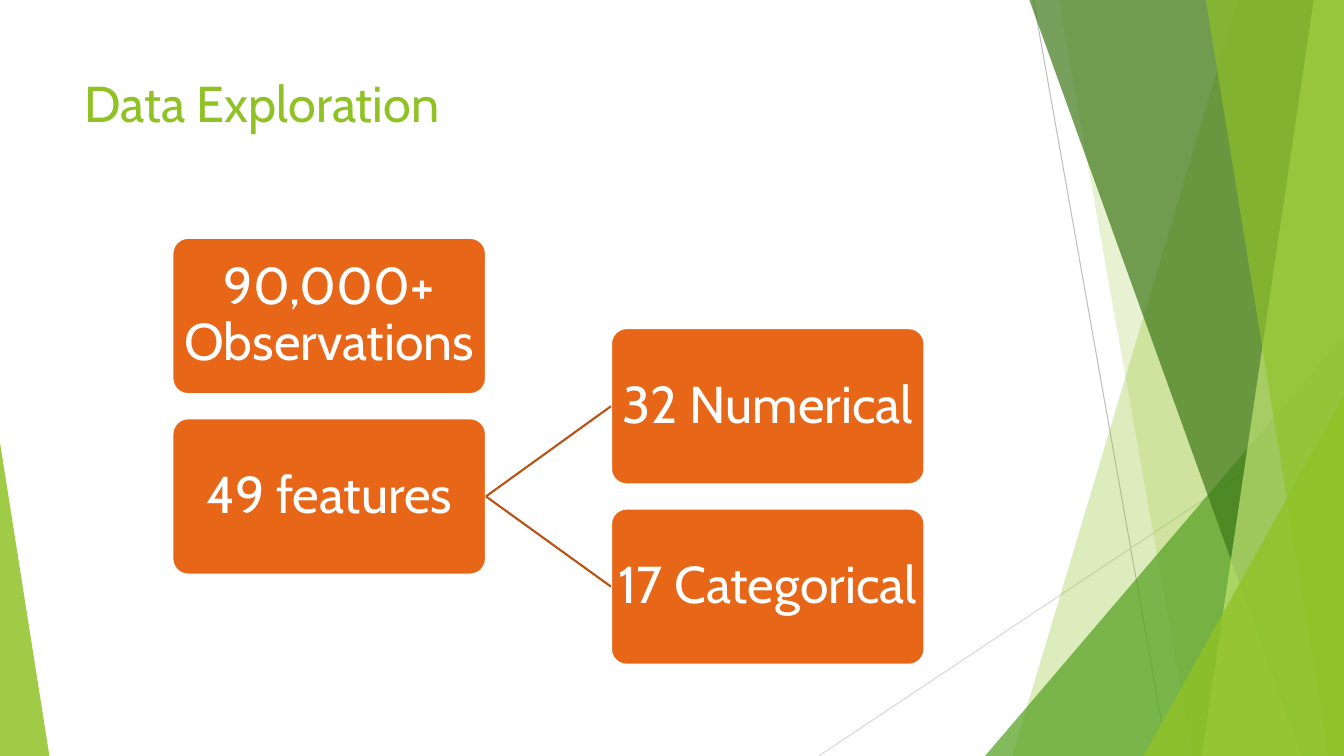
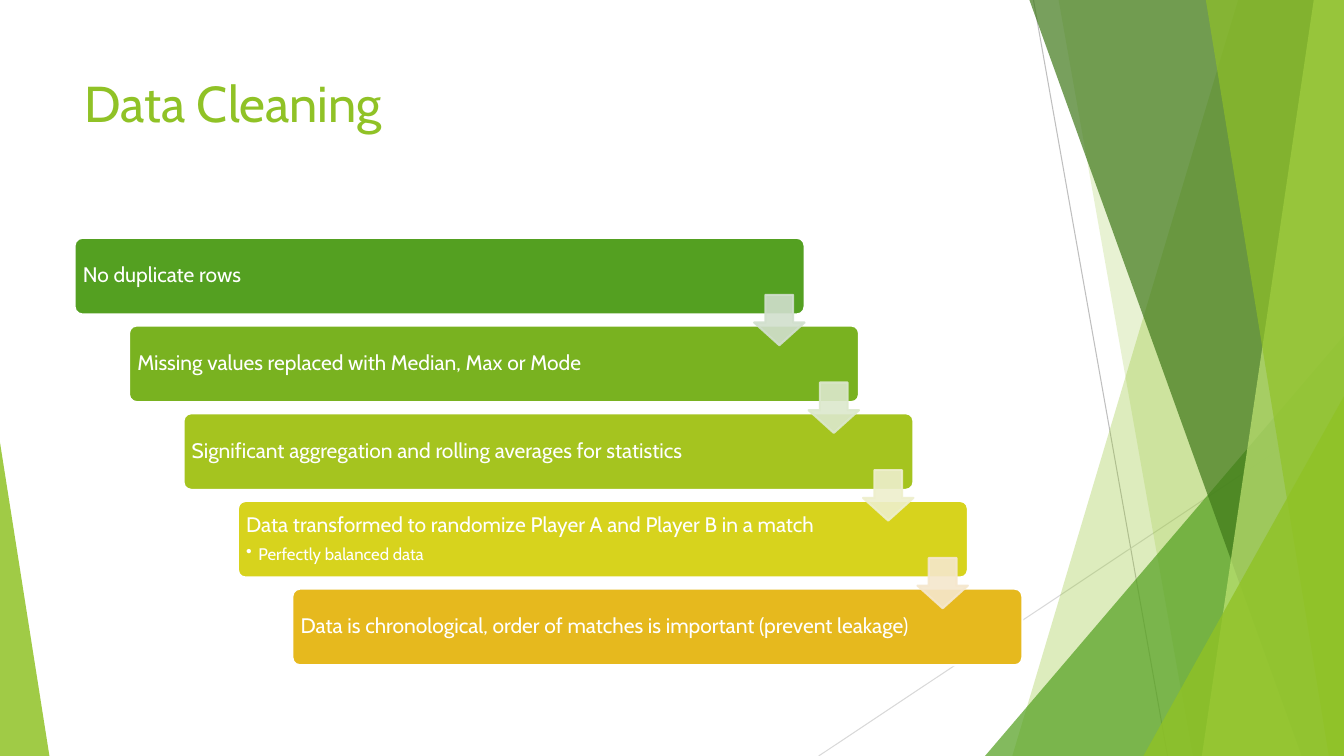
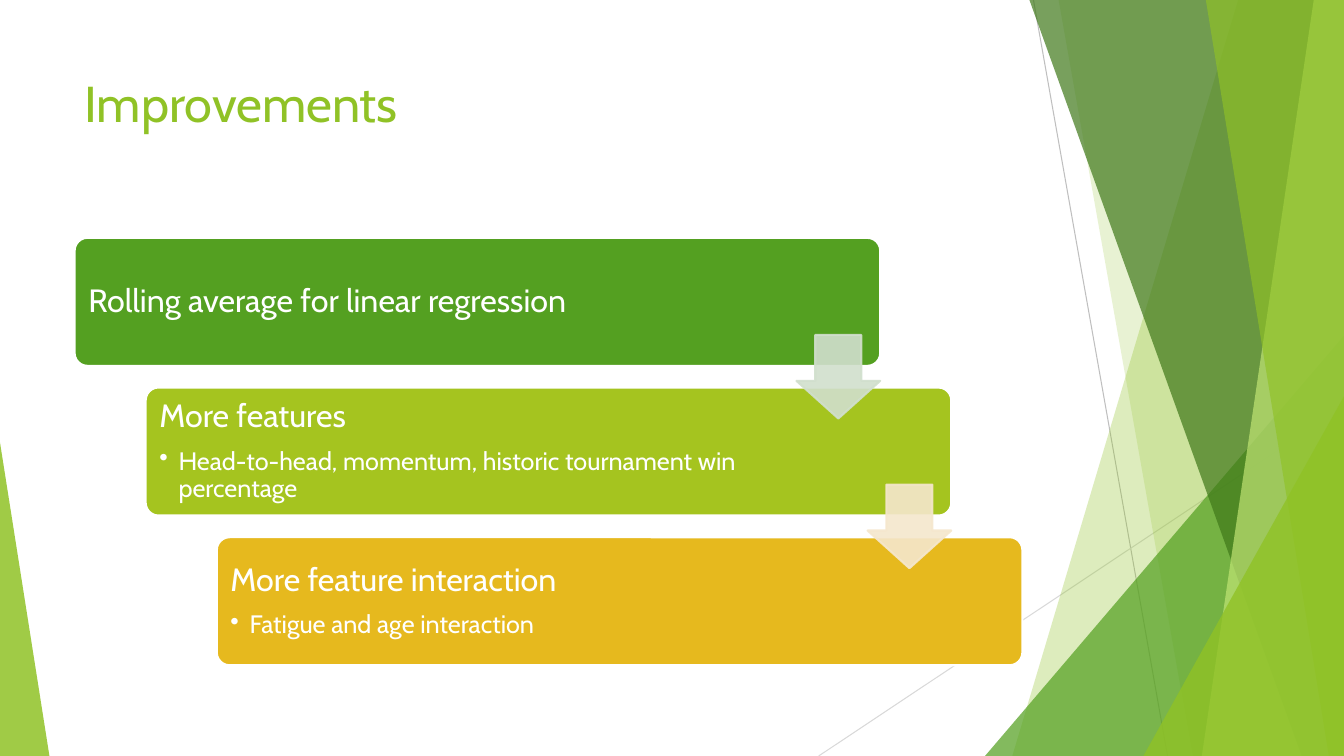
from lxml.etree import SubElement
from pptx import Presentation
from pptx.dml.color import RGBColor
from pptx.enum.shapes import MSO_CONNECTOR, MSO_SHAPE
from pptx.enum.text import MSO_ANCHOR, PP_ALIGN
from pptx.oxml.ns import qn
from pptx.util import Inches, Pt

FONT = "Cabin"
WIDTH, HEIGHT = 13.33, 7.5
AREA = {"left": 0.74, "top": 2.36, "width": 9.4, "height": 4.24}
COLORS = {
    "white": "FFFFFF", "lime": "90C226", "pale lime": "C0E474",
    "green": "54A021", "dark green": "3F7819",
    "grey": "BFBFBF", "light grey": "D9D9D9",
    "orange": "E76618", "rust": "B95213",
    "leaf": "79B220", "olive": "A5C41F", "yellow": "D7D31D", "gold": "E6B91E",
    "green tint": "D1DFCD", "leaf tint": "DCE8CC",
    "yellow tint": "EEEFCC", "gold tint": "F5E7CD",
}

# Background, from back to front
HAIRLINES = [  # start, end, colour
    ((10.25, 0), (11.58, HEIGHT), "grey"),
    ((WIDTH, 4.03), (8.12, HEIGHT), "light grey"),
]
FACETS = [  # kind, two sizes, colour, opacity in percent
    # band: left edge at top and bottom; triangles: width and height
    ("band", 12.28, 10.04, "lime", 30),
    ("band", 10.5, 11.83, "lime", 20),
    ("right triangle", 3.56, 4.17, "green", 72),
    ("band", 10.21, 12.91, "dark green", 70),
    ("band", 13.03, 11.92, "pale lime", 70),
    ("band", 11.96, 13.18, "lime", 65),
    ("right triangle", 1.99, 3.57, "lime", 80),
    ("left triangle", 0.49, 3.11, "lime", 85),
]

EXPLORATION = {
    "title": "Data Exploration",
    "facts": ["90,000+ Observations", "49 features"],
    "feature_kinds": ["32 Numerical", "17 Categorical"],
}
STAIRCASES = [
    {
        "title": "Data Cleaning",
        "card": (7.24, 0.76), "arrow": 0.5, "sizes": (15, 12),
        "margin": 0.06, "right_margin": 1.1, "indent": 0.12,
        "steps": [  # heading, bullets, card colour, colour of the arrow below
            ("No duplicate rows", [], "green", "green tint"),
            ("Missing values replaced with Median, Max or Mode", [],
             "leaf", "leaf tint"),
            ("Significant aggregation and rolling averages for statistics", [],
             "olive", "yellow tint"),
            ("Data transformed to randomize Player A and Player B in a match",
             ["Perfectly balanced data"], "yellow", "gold tint"),
            ("Data is chronological, order of matches is important (prevent leakage)",
             [], "gold", None),
        ],
    },
    {
        "title": "Improvements",
        "card": (7.99, 1.27), "arrow": 0.83, "sizes": (23, 18),
        "margin": 0.1, "right_margin": 1.64, "indent": 0.19,
        "steps": [
            ("Rolling average for linear regression", [], "green", "green tint"),
            ("More features",
             ["Head-to-head, momentum, historic tournament win percentage"],
             "olive", "gold tint"),
            ("More feature interaction", ["Fatigue and age interaction"],
             "gold", None),
        ],
    },
]


def rgb(name):
    return RGBColor.from_string(COLORS[name])


def set_attributes(target, **values):
    for name, value in values.items():
        setattr(target, name, value)


def paint(shape, fill, line=None, opacity=100):
    shape.shadow.inherit = False
    shape.fill.solid()
    shape.fill.fore_color.rgb = rgb(fill)
    if line:
        shape.line.color.rgb = rgb(line)
        shape.line.width = Pt(1.5)
    else:
        shape.line.fill.background()
    if opacity < 100:
        for color in shape._element.iter(qn("a:srgbClr")):
            SubElement(color, qn("a:alpha"), val=str(opacity * 1000))


def add_preset(slide, preset, left, top, width, height):
    return slide.shapes.add_shape(preset, *map(Inches, (left, top, width, height)))


def add_line(slide, start, end, color, width):
    connector = slide.shapes.add_connector(
        MSO_CONNECTOR.STRAIGHT, *map(Inches, (*start, *end)))
    connector.line.color.rgb = rgb(color)
    connector.line.width = Pt(width)
    SubElement(connector._element.spPr, qn("a:effectLst"))
    return connector


def add_facet(slide, kind, first, second, color, opacity):
    if kind == "band":
        corners = [(first, 0), (WIDTH, 0), (WIDTH, HEIGHT), (second, HEIGHT)]
        points = [(Inches(x), Inches(y)) for x, y in corners]
        builder = slide.shapes.build_freeform(*points[0], scale=1.0)
        builder.add_line_segments(points[1:], close=True)
        shape = builder.convert_to_shape()
    else:
        on_right = kind == "right triangle"
        shape = add_preset(slide, MSO_SHAPE.ISOSCELES_TRIANGLE,
                           WIDTH - first if on_right else 0,
                           HEIGHT - second, first, second)
        shape.adjustments[0] = 1 if on_right else 0
    paint(shape, color, opacity=opacity)


def write(paragraph, text, size, color="white", **paragraph_format):
    run = paragraph.add_run()
    run.text = text
    set_attributes(run.font, name=FONT, size=Pt(size))
    run.font.color.rgb = rgb(color)
    set_attributes(paragraph, **paragraph_format)


def add_bullet(paragraph, indent):
    properties = paragraph._p.get_or_add_pPr()
    properties.set("marL", str(Inches(indent)))
    properties.set("indent", str(-Inches(indent)))
    SubElement(properties, qn("a:buChar"), char="•")


def add_titled_slide(presentation, title):
    slide = presentation.slides.add_slide(presentation.slide_layouts[6])
    for start, end, color in HAIRLINES:
        add_line(slide, start, end, color, 0.75)
    for facet in FACETS:
        add_facet(slide, *facet)
    box = slide.shapes.add_textbox(*map(Inches, (AREA["left"], 0.67, AREA["width"], 1.44)))
    box.text_frame.word_wrap = True
    write(box.text_frame.paragraphs[0], title, 36, "lime")
    return slide


def add_card(slide, left, top, width, height, color, margins):
    """Add a rounded card; margins are left, right and vertical."""
    card = add_preset(slide, MSO_SHAPE.ROUNDED_RECTANGLE, left, top, width, height)
    card.adjustments[0] = 0.1
    paint(card, color, "white")
    left_margin, right_margin, vertical = map(Inches, margins)
    set_attributes(card.text_frame, word_wrap=True, vertical_anchor=MSO_ANCHOR.MIDDLE,
                   margin_left=left_margin, margin_right=right_margin,
                   margin_top=vertical, margin_bottom=vertical)
    return card


def add_exploration(presentation, content):
    slide = add_titled_slide(presentation, content["title"])
    card_width, card_height, pitch = 3.11, 1.55, 1.79

    def add_column(labels, left, top):
        cards = []
        for row, label in enumerate(labels):
            card = add_card(slide, left, top + row * pitch, card_width, card_height,
                            "orange", (0, 0, 0.03))
            write(card.text_frame.paragraphs[0], label, 37,
                  alignment=PP_ALIGN.CENTER, line_spacing=0.9)
            cards.append(card)
        return cards

    facts = add_column(content["facts"], 1.71, AREA["top"])
    kinds = add_column(content["feature_kinds"], 6.06, AREA["top"] + pitch / 2)
    for kind in kinds:
        connector = add_line(slide, (0, 0), (1, 1), "rust", 1.5)
        connector.begin_connect(facts[-1], 3)
        connector.end_connect(kind, 1)


def add_staircase(presentation, content):
    slide = add_titled_slide(presentation, content["title"])
    steps = content["steps"]
    card_width, card_height = content["card"]
    heading_size, bullet_size = content["sizes"]
    margin, arrow_size = content["margin"], content["arrow"]
    step_x = (AREA["width"] - card_width) / (len(steps) - 1)
    step_y = (AREA["height"] - card_height) / (len(steps) - 1)
    arrows = []
    for index, (heading, bullets, color, arrow_color) in enumerate(steps):
        left, top = AREA["left"] + index * step_x, AREA["top"] + index * step_y
        card = add_card(slide, left, top, card_width, card_height, color,
                        (margin, content["right_margin"], margin))
        frame = card.text_frame
        write(frame.paragraphs[0], heading, heading_size,
              alignment=PP_ALIGN.LEFT, line_spacing=0.9)
        for bullet in bullets:
            paragraph = frame.add_paragraph()
            write(paragraph, bullet, bullet_size, alignment=PP_ALIGN.LEFT,
                  line_spacing=0.9, space_before=Pt(round(heading_size * 0.42)))
            add_bullet(paragraph, content["indent"])
        if arrow_color:
            gap_middle = top + (card_height + step_y) / 2
            arrows.append((left + card_width - arrow_size,
                           gap_middle - arrow_size / 2, arrow_color))
    for left, top, color in arrows:
        arrow = add_preset(slide, MSO_SHAPE.DOWN_ARROW, left, top, arrow_size, arrow_size)
        arrow.adjustments[0], arrow.adjustments[1] = 0.55, 0.45
        paint(arrow, color, color, 90)


def main():
    presentation = Presentation()
    presentation.slide_width, presentation.slide_height = Inches(WIDTH), Inches(HEIGHT)
    add_exploration(presentation, EXPLORATION)
    for content in STAIRCASES:
        add_staircase(presentation, content)
    presentation.save("out.pptx")


if __name__ == "__main__":
    main()
